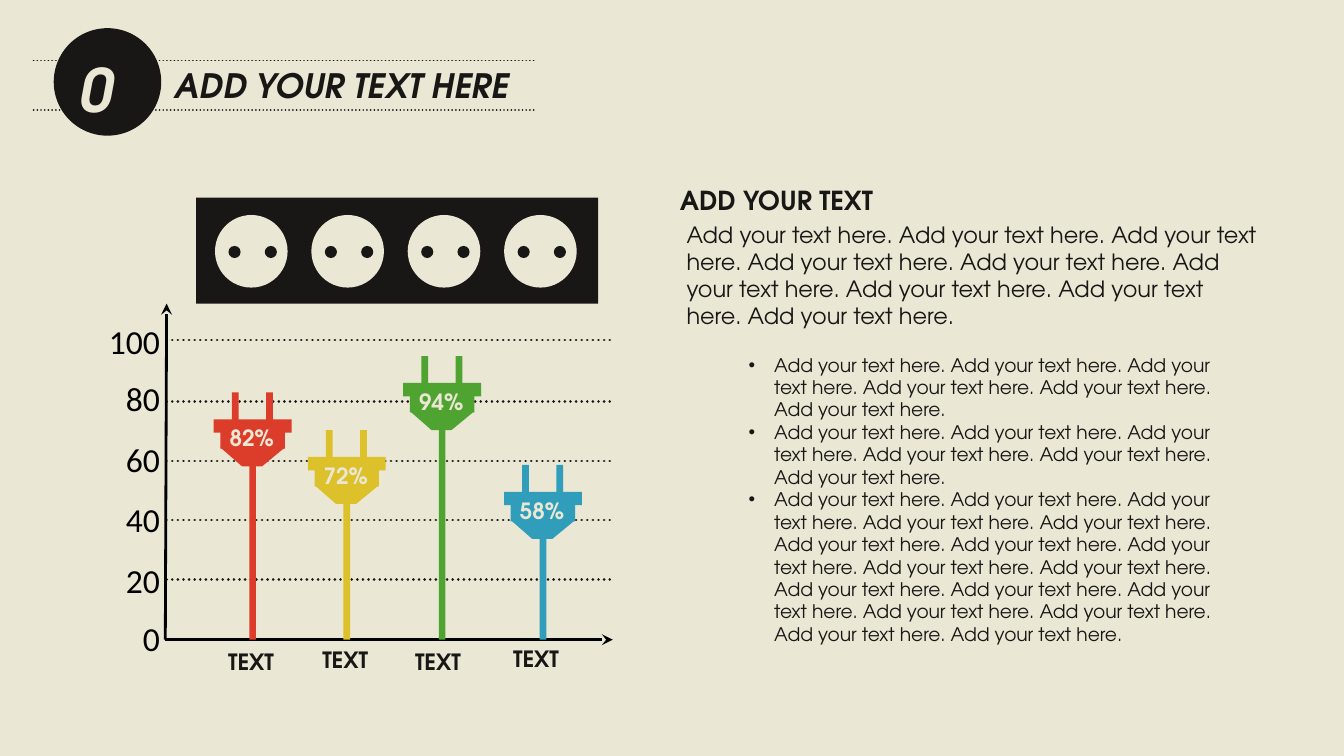
from lxml import etree
from pptx import Presentation
from pptx.dml.color import RGBColor
from pptx.enum.dml import MSO_LINE
from pptx.enum.shapes import MSO_CONNECTOR, MSO_SHAPE
from pptx.enum.text import MSO_ANCHOR, MSO_AUTO_SIZE, PP_ALIGN
from pptx.oxml.ns import qn
from pptx.util import Inches, Pt

RECTANGLE, OVAL = MSO_SHAPE.RECTANGLE, MSO_SHAPE.OVAL
STRAIGHT = MSO_CONNECTOR.STRAIGHT
DOTTED = MSO_LINE.ROUND_DOT
LEFT, RIGHT = PP_ALIGN.LEFT, PP_ALIGN.RIGHT
TOP = MSO_ANCHOR.TOP
NO_AUTOSIZE = MSO_AUTO_SIZE.NONE

CREAM = RGBColor(0xEA, 0xE7, 0xD4)
INK = RGBColor(0x18, 0x17, 0x15)
BLACK = RGBColor(0, 0, 0)
RED = RGBColor(0xDC, 0x3D, 0x2A)
YELLOW = RGBColor(0xDC, 0xC1, 0x2A)
GREEN = RGBColor(0x4F, 0xA3, 0x31)
BLUE = RGBColor(0x30, 0x9E, 0xBA)

FONT = "TeX Gyre Adventor"
AXIS_FONT = "Calibri"
SENTENCE = "Add your text here."
BULLET_SENTENCES = (6, 6, 17)
AXIS_LEFT, AXIS_BOTTOM = 1.23, 4.76
GRID_LINES = (4.31, 3.87, 3.43, 2.99, 2.53)
AXIS_LABEL_TOPS = (4.55, 4.12, 3.66, 3.22, 2.76, 2.34)

# value, colour, plug left, plug top, category label left, category label top
PLUGS = [
    ("82%", RED, 1.59, 3.12, 1.6, 4.77),
    ("72%", YELLOW, 2.29, 3.4, 2.3, 4.76),
    ("94%", GREEN, 3, 2.85, 2.99, 4.77),
    ("58%", BLUE, 3.75, 3.66, 3.72, 4.75),
]


def sentences(count):
    return " ".join([SENTENCE] * count)


def paint(shape, color):
    shape.shadow.inherit = False
    shape.fill.solid()
    shape.fill.fore_color.rgb = color
    shape.line.fill.background()


def add_block(shapes, kind, left, top, width, height, color):
    shape = shapes.add_shape(kind, Inches(left), Inches(top), Inches(width), Inches(height))
    paint(shape, color)


def add_line(shapes, start, end, color, width, dotted=False, arrow=False):
    line = shapes.add_connector(STRAIGHT, *map(Inches, start + end))
    line.line.color.rgb = color
    line.line.width = Pt(width)
    outline = line.line._get_or_add_ln()
    if dotted:
        line.line.dash_style = DOTTED
        outline.set("cap", "rnd")
    if arrow:
        etree.SubElement(outline, qn("a:tailEnd"), type="stealth")
    etree.SubElement(line._element.spPr, qn("a:effectLst"))


def format_font(paragraph, size, **values):
    font = paragraph.font
    settings = {"name": FONT, "size": Pt(size), "bold": False, "italic": False}
    color = values.pop("color", INK)
    for name, value in (settings | values).items():
        setattr(font, name, value)
    font.color.rgb = color


def add_text(shapes, text, left, top, width, height, size, wrap=False, **values):
    box = shapes.add_textbox(Inches(left), Inches(top), Inches(width), Inches(height))
    box.text_frame.word_wrap = wrap
    box.text_frame.text = text
    format_font(box.text_frame.paragraphs[0], size, **values)
    return box.text_frame


def fill_placeholder(placeholder, texts, left, top, width, height, size, wrap, **values):
    """Move a placeholder and give it left-aligned paragraphs."""
    position = {"left": left, "top": top, "width": width, "height": height}
    for name, value in position.items():
        setattr(placeholder, name, Inches(value))
    frame = placeholder.text_frame
    frame.text = "\n".join(texts)
    settings = {"word_wrap": wrap, "auto_size": NO_AUTOSIZE, "vertical_anchor": TOP}
    for name, value in settings.items():
        setattr(frame, name, value)
    for paragraph in frame.paragraphs:
        paragraph.alignment = LEFT
        paragraph.space_before = Pt(0)
        format_font(paragraph, size, **values)
    return frame


def add_header(slide):
    for y in (0.45, 0.82):
        add_line(slide.shapes, (0.25, y), (3.98, y), INK, 1, dotted=True)
    add_block(slide.shapes, OVAL, 0.4, 0.21, 0.8, 0.8, INK)
    fill_placeholder(slide.shapes.title, ["ADD YOUR TEXT HERE"], 1.2, 0.43, 2.69, 0.4,
                     18, False, bold=True, italic=True)
    add_text(slide.shapes, "01", 0.49, 0.34, 0.69, 0.64, 32,
             bold=True, italic=True, color=CREAM)


def add_sockets(shapes):
    add_block(shapes, RECTANGLE, 1.46, 1.47, 2.99, 0.79, INK)
    for index in range(4):
        left = 1.6 + 0.717 * index
        add_block(shapes, OVAL, left, 1.6, 0.54, 0.54, CREAM)
        for offset in (0.1, 0.37):
            add_block(shapes, OVAL, left + offset, 1.83, 0.09, 0.09, INK)


def add_axes(shapes):
    for y in GRID_LINES:
        add_line(shapes, (1.24, y), (4.57, y), INK, 1.5, dotted=True)
    for step, top in enumerate(AXIS_LABEL_TOPS):
        frame = add_text(shapes, str(step * 20), 0.5, top, 0.69, 0.4,
                         18, wrap=True, name=AXIS_FONT, color=BLACK)
        frame.margin_left = frame.margin_right = 0
        frame.paragraphs[0].alignment = RIGHT
    for end in ((1.24, 2.26), (4.56, AXIS_BOTTOM)):
        add_line(shapes, (AXIS_LEFT, AXIS_BOTTOM), end, BLACK, 1.5, arrow=True)


def add_plug(shapes, value, color, left, top, label_left, label_top):
    cord_top = top + 0.34
    add_block(shapes, RECTANGLE, left + 0.265, cord_top, 0.05, AXIS_BOTTOM - cord_top, color)

    plug = shapes.add_group_shape().shapes
    add_block(plug, RECTANGLE, left, top, 0.58, 0.1, color)
    add_block(plug, RECTANGLE, left + 0.05, top + 0.09, 0.48, 0.13, color)
    for offset in (0.135, 0.39):
        add_block(plug, RECTANGLE, left + offset, top - 0.2, 0.05, 0.21, color)
    corners = [(0.05, 0.21), (0.21, 0.35), (0.36, 0.35), (0.53, 0.21)]
    points = [(Inches(left + x), Inches(top + y)) for x, y in corners]
    builder = plug.build_freeform(*points[0])
    builder.add_line_segments(points[1:], close=True)
    paint(builder.convert_to_shape(), color)

    add_text(shapes, value, left + 0.02, top - 0.01, 0.54, 0.3, 12, bold=True, color=CREAM)
    add_text(shapes, "TEXT", label_left, label_top, 0.6, 0.3, 12, bold=True)


def add_copy(slide):
    add_text(slide.shapes, "ADD YOUR TEXT", 4.96, 1.32, 1.74, 0.34, 14, bold=True)
    add_text(slide.shapes, sentences(9), 5.01, 1.6, 4.48, 0.9, 12, wrap=True)
    texts = [sentences(count) for count in BULLET_SENTENCES]
    frame = fill_placeholder(slide.placeholders[1], texts, 5.47, 2.58, 3.86, 2.27, 10, True)
    for paragraph in frame.paragraphs:
        properties = paragraph._p.get_or_add_pPr()
        properties.set("marL", str(Inches(0.19)))
        properties.set("indent", str(Inches(-0.19)))


def main():
    presentation = Presentation()
    presentation.slide_width = Inches(10)
    presentation.slide_height = presentation.slide_width * 9 // 16
    slide = presentation.slides.add_slide(presentation.slide_layouts[1])
    slide.background.fill.solid()
    slide.background.fill.fore_color.rgb = CREAM

    add_header(slide)
    add_sockets(slide.shapes)
    add_axes(slide.shapes)
    for plug in PLUGS:
        add_plug(slide.shapes, *plug)
    add_copy(slide)
    presentation.save("out.pptx")


if __name__ == "__main__":
    main()
